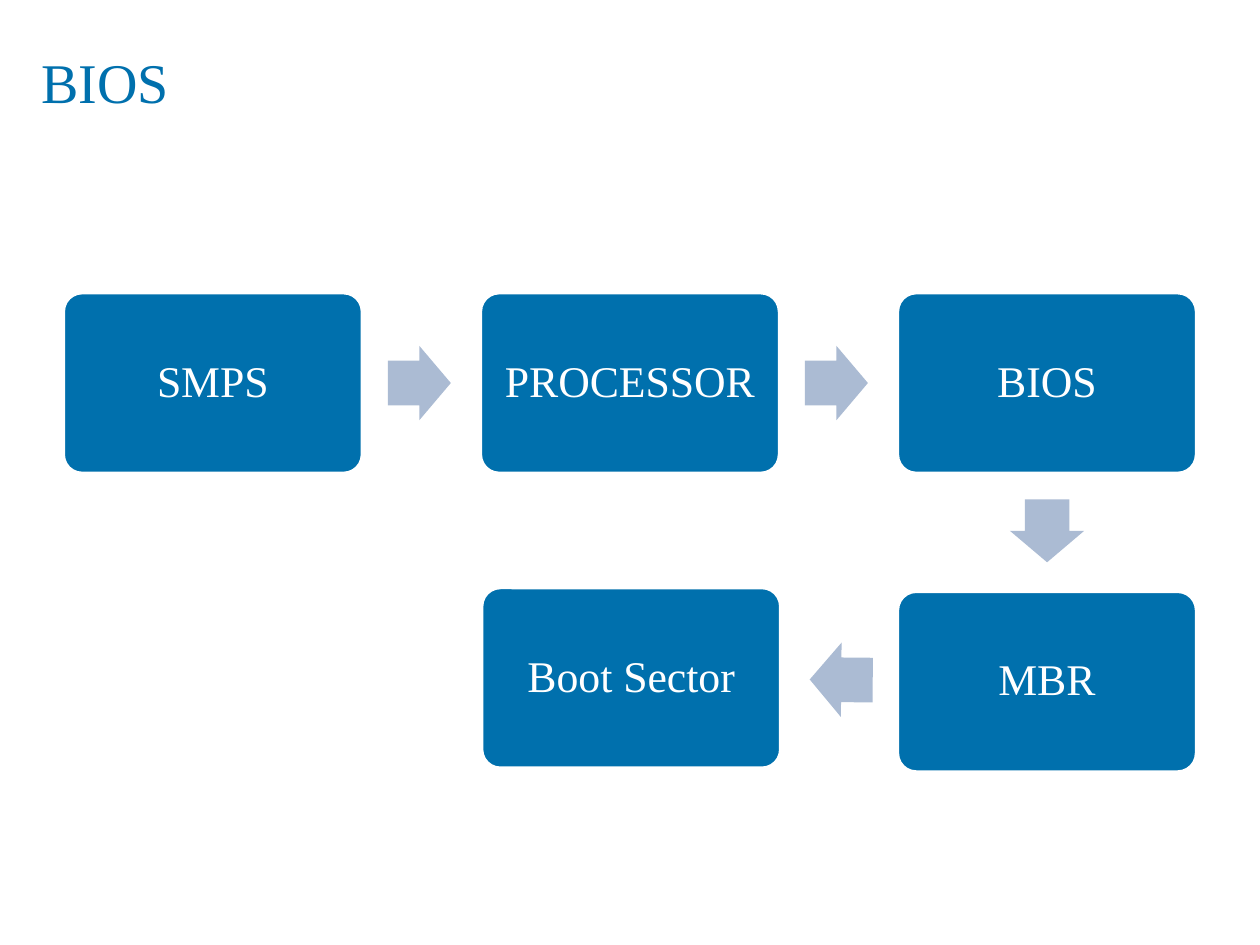
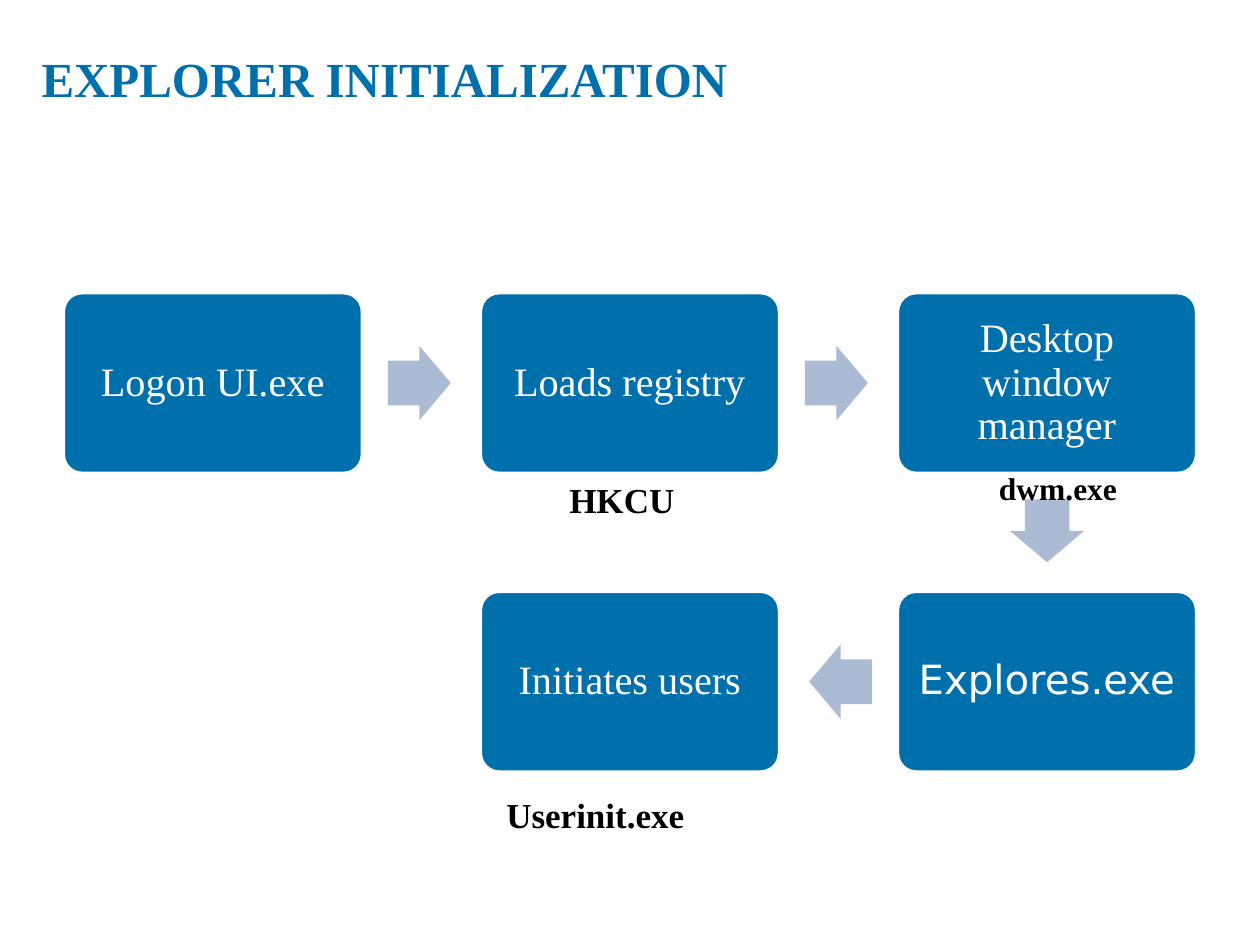
import math
from dataclasses import dataclass
from itertools import pairwise

from pptx import Presentation
from pptx import util as u
from pptx.dml.color import RGBColor
from pptx.enum import shapes, text


@dataclass(frozen=True)
class Theme:
    blue: str = "0070AD"
    arrow: str = "ABBBD3"
    white: str = "FFFFFF"
    black: str = "000000"
    serif: str = "Times New Roman"
    sans: str = "DejaVu Sans"
    title: int = 32
    title_long: int = 28
    step: int = 25
    step_long: int = 23
    caption: int = 20
    caption_small: int = 18
    spacing: float = 0.9


@dataclass(frozen=True)
class Step:
    label: str
    col: int
    row: int
    font: str = Theme.serif
    dx: float = 0
    dy: float = 0

    @property
    def center(self) -> tuple[float, float]:
        return (LEFT + self.col * COL_PITCH + BOX_W / 2 + self.dx,
                TOP + self.row * ROW_PITCH + BOX_H / 2 + self.dy)


@dataclass(frozen=True)
class Caption:
    label: str
    left: float
    top: float
    width: float
    height: float
    size: int = Theme.caption


@dataclass(frozen=True)
class FlowSlide:
    title: str
    title_size: int
    title_bold: bool
    step_size: int
    steps: tuple[Step, ...]
    captions: tuple[Caption, ...] = ()


THEME = Theme()
LEFT, TOP = 0.51, 2.33
BOX_W, BOX_H = 2.36, 1.42
COL_PITCH, ROW_PITCH = 3.31, 2.37
ARROW_W, ARROW_H = 0.5, 0.59
ARROW_POSITION = 0.495

SLIDES = (
    FlowSlide("BIOS", THEME.title, False, THEME.step, (
        Step("SMPS", 0, 0),
        Step("PROCESSOR", 1, 0),
        Step("BIOS", 2, 0),
        Step("MBR", 2, 1),
        Step("Boot Sector", 1, 1, dx=0.01, dy=-0.03),
    )),
    FlowSlide("EXPLORER INITIALIZATION", THEME.title_long, True, THEME.step_long, (
        Step("Logon UI.exe", 0, 0),
        Step("Loads registry", 1, 0),
        Step("Desktop window manager", 2, 0),
        Step("Explores.exe", 2, 1, THEME.sans),
        Step("Initiates users", 1, 1),
    ), (
        Caption("Userinit.exe", 3.92, 6.25, 2.17, 0.44),
        Caption("HKCU", 4.42, 3.75, 1.5, 0.44),
        Caption("dwm.exe", 7.83, 3.67, 1.17, 0.4, THEME.caption_small),
    )),
)


def rgb(value: str) -> RGBColor:
    return RGBColor.from_string(value)


def set_all(target, values: dict) -> None:
    for name, value in values.items():
        setattr(target, name, value)


def write(sp, label: str, color: str, font: dict, frame: dict, para: dict) -> None:
    tf = sp.text_frame
    set_all(tf, {"word_wrap": True} | frame)
    p = tf.paragraphs[0]
    set_all(p, para)
    r = p.add_run()
    r.text = label
    set_all(r.font, {"name": THEME.serif} | font)
    r.font.color.rgb = rgb(color)


def margins(size: float) -> dict:
    return {f"margin_{side}": u.Inches(size) for side in ("left", "top", "right", "bottom")}


def add_filled(s, kind, center: tuple[float, float], width: float, height: float,
               fill: str, adjustments: tuple[float, ...]):
    x, y = center
    sp = s.shapes.add_shape(kind, u.Inches(x - width / 2), u.Inches(y - height / 2),
                            u.Inches(width), u.Inches(height))
    sp.shadow.inherit = False
    sp.fill.solid()
    sp.fill.fore_color.rgb = rgb(fill)
    sp.line.fill.background()
    for i, value in enumerate(adjustments):
        sp.adjustments[i] = value
    return sp


def add_title(s, flow: FlowSlide) -> None:
    sp = s.shapes.add_textbox(u.Inches(0.33), u.Inches(0.44), u.Inches(9.04), u.Inches(0.94))
    write(sp, flow.title, THEME.blue,
          {"size": u.Pt(flow.title_size), "bold": flow.title_bold},
          margins(0), {"line_spacing": THEME.spacing})


def add_step(s, step: Step, size: int) -> None:
    sp = add_filled(s, shapes.MSO_SHAPE.ROUNDED_RECTANGLE, step.center,
                    BOX_W, BOX_H, THEME.blue, (0.1,))
    sp.line.color.rgb = rgb(THEME.white)
    sp.line.width = u.Pt(1)
    write(sp, step.label, THEME.white, {"size": u.Pt(size), "name": step.font},
          margins(0.1) | {"vertical_anchor": text.MSO_ANCHOR.MIDDLE},
          {"alignment": text.PP_ALIGN.CENTER, "line_spacing": THEME.spacing})


def add_arrow(s, start: Step, end: Step) -> None:
    (x1, y1), (x2, y2) = start.center, end.center
    dx, dy = x2 - x1, y2 - y1
    center = (x1 + dx * ARROW_POSITION, y1 + dy * ARROW_POSITION)
    sp = add_filled(s, shapes.MSO_SHAPE.RIGHT_ARROW, center,
                    ARROW_W, ARROW_H, THEME.arrow, (0.6, 0.5))
    sp.rotation = math.degrees(math.atan2(dy, dx)) % 360


def add_caption(s, caption: Caption) -> None:
    sp = s.shapes.add_textbox(u.Inches(caption.left), u.Inches(caption.top),
                              u.Inches(caption.width), u.Inches(caption.height))
    write(sp, caption.label, THEME.black, {"size": u.Pt(caption.size), "bold": True},
          {"auto_size": text.MSO_AUTO_SIZE.SHAPE_TO_FIT_TEXT}, {})


def add_flow_slide(prs, flow: FlowSlide) -> None:
    s = prs.slides.add_slide(prs.slide_layouts[6])
    add_title(s, flow)
    for step in flow.steps:
        add_step(s, step, flow.step_size)
    for start, end in pairwise(flow.steps):
        add_arrow(s, start, end)
    for caption in flow.captions:
        add_caption(s, caption)


def main() -> None:
    prs = Presentation()
    set_all(prs, {"slide_width": u.Inches(10), "slide_height": u.Inches(7.5)})
    for flow in SLIDES:
        add_flow_slide(prs, flow)
    prs.save("out.pptx")


if __name__ == "__main__":
    main()
